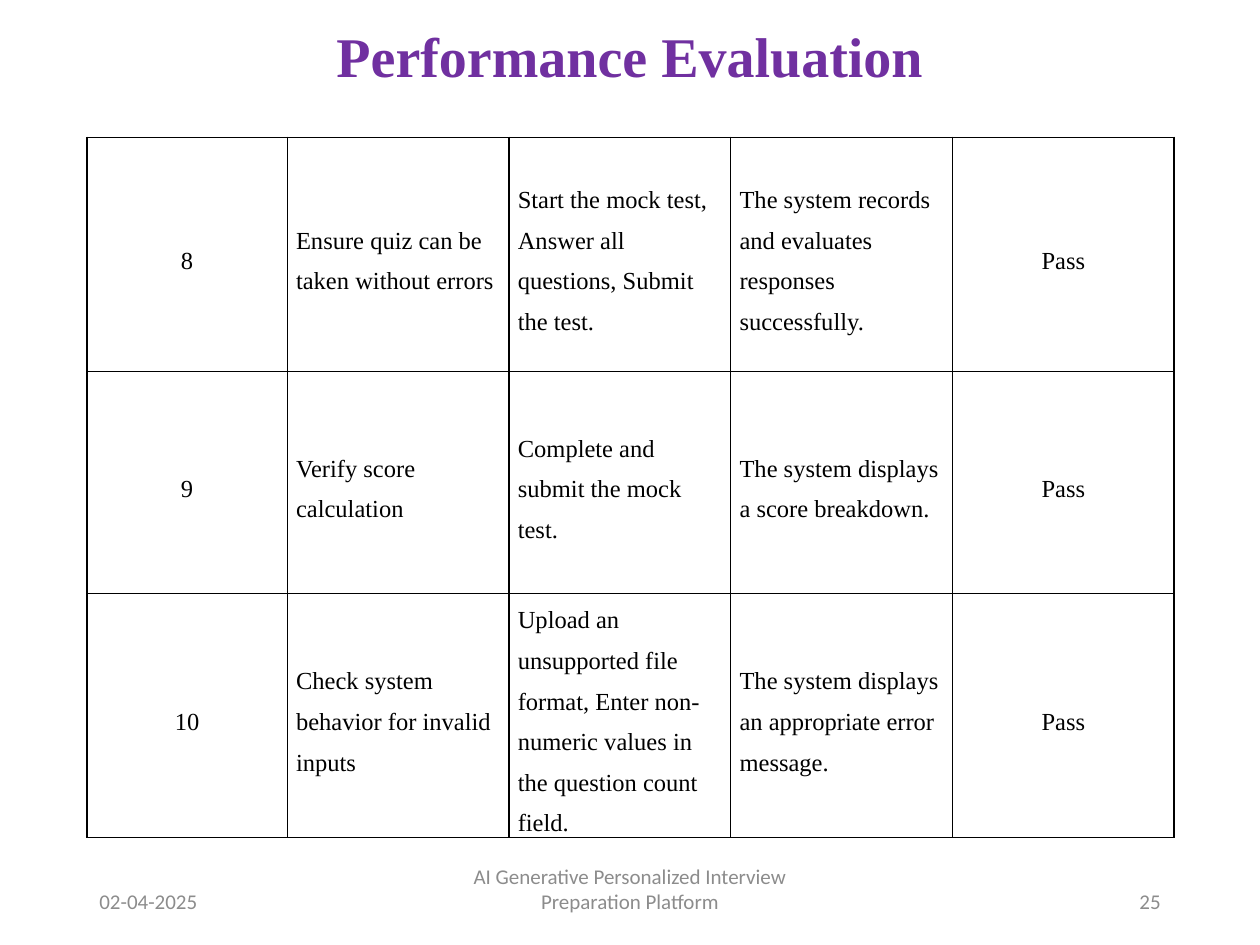
from lxml.etree import SubElement
from pptx import Presentation
from pptx.dml.color import RGBColor
from pptx.enum.text import MSO_ANCHOR, PP_ALIGN
from pptx.oxml.ns import qn
from pptx.util import Inches, Pt

SERIF, SANS = "Times New Roman", "Calibri"
PURPLE, GREY, BLACK, WHITE = "7030A0", "8C8C8C", "000000", "FFFFFF"
LEFT, CENTER, RIGHT = PP_ALIGN.LEFT, PP_ALIGN.CENTER, PP_ALIGN.RIGHT

COL_WIDTHS = [1.59] + [1.76] * 4
ROW_HEIGHTS = [1.86, 1.76, 1.54]
TEST_CASES = [
    ("8", "Ensure quiz can be taken without errors",
     "Start the mock test, Answer all questions, Submit the test.",
     "The system records and evaluates responses successfully.", "Pass"),
    ("9", "Verify score calculation", "Complete and submit the mock test.",
     "The system displays a score breakdown.", "Pass"),
    ("10", "Check system behavior for invalid inputs",
     "Upload an unsupported file format, Enter non-numeric values in the "
     "question count field.",
     "The system displays an appropriate error message.", "Pass"),
]
FOOTERS = [
    ("02-04-2025", LEFT, (0.69, 6.95, 2.25, 0.4)),
    ("AI Generative Personalized Interview Preparation Platform", CENTER,
     (3.31, 6.85, 3.38, 0.4)),
    ("25", RIGHT, (7.06, 6.95, 2.25, 0.4)),
]


def rgb(value):
    return RGBColor.from_string(value)


def set_attrs(obj, **values):
    for name, value in values.items():
        setattr(obj, name, value)


def write(tf, text, color, font, paragraph):
    p = tf.paragraphs[0]
    set_attrs(p, **paragraph)
    r = p.add_run()
    r.text = text
    set_attrs(r.font, **font)
    r.font.color.rgb = rgb(color)


def place(sp, box):
    for name, value in zip(("left", "top", "width", "height"), box):
        setattr(sp, name, Inches(value))


def add_title(s, text, box):
    sp = s.shapes.title
    place(sp, box)
    set_attrs(sp.text_frame, vertical_anchor=MSO_ANCHOR.MIDDLE, word_wrap=True)
    write(sp.text_frame, text, PURPLE,
          dict(name=SERIF, size=Pt(32), bold=True),
          dict(alignment=CENTER, line_spacing=0.9))


def add_borders(cell):
    """Draw a one-point black line on all four sides; call before the fill."""
    tc_pr = cell._tc.get_or_add_tcPr()
    for side in ("a:lnL", "a:lnR", "a:lnT", "a:lnB"):
        ln = SubElement(tc_pr, qn(side), w=str(Pt(1)))
        fill = SubElement(ln, qn("a:solidFill"))
        SubElement(fill, qn("a:srgbClr"), val=BLACK)


def add_test_table(s, rows, left, top):
    box = (left, top, sum(COL_WIDTHS), sum(ROW_HEIGHTS))
    table = s.shapes.add_table(len(rows), len(COL_WIDTHS),
                               *map(Inches, box)).table
    set_attrs(table, first_row=False, horz_banding=False)
    for column, width in zip(table.columns, COL_WIDTHS):
        column.width = Inches(width)
    last = len(COL_WIDTHS) - 1
    for i, (values, height) in enumerate(zip(rows, ROW_HEIGHTS)):
        table.rows[i].height = Inches(height)
        for j, text in enumerate(values):
            cell = table.cell(i, j)
            set_attrs(cell, vertical_anchor=MSO_ANCHOR.MIDDLE,
                      margin_left=Inches(0.07), margin_right=Inches(0.07),
                      margin_top=0, margin_bottom=0)
            add_borders(cell)
            cell.fill.solid()
            cell.fill.fore_color.rgb = rgb(WHITE)
            write(cell.text_frame, text, BLACK,
                  dict(name=SERIF, size=Pt(14)),
                  dict(alignment=CENTER if j in (0, last) else LEFT,
                       line_spacing=1.5,
                       space_before=Pt(18 if j == last else 8)))


def add_footer(s, text, alignment, box):
    tf = s.shapes.add_textbox(*map(Inches, box)).text_frame
    set_attrs(tf, word_wrap=True, vertical_anchor=MSO_ANCHOR.MIDDLE,
              margin_top=0, margin_bottom=0)
    write(tf, text, GREY, dict(name=SANS, size=Pt(12)),
          dict(alignment=alignment))


def main():
    prs = Presentation()
    set_attrs(prs, slide_width=Inches(10), slide_height=Inches(7.5))
    s = prs.slides.add_slide(prs.slide_layouts[5])
    add_title(s, "Performance Evaluation", (0.69, 0.18, 8.62, 0.58))
    add_test_table(s, TEST_CASES, 0.69, 1.09)
    for footer in FOOTERS:
        add_footer(s, *footer)
    prs.save("out.pptx")


if __name__ == "__main__":
    main()
